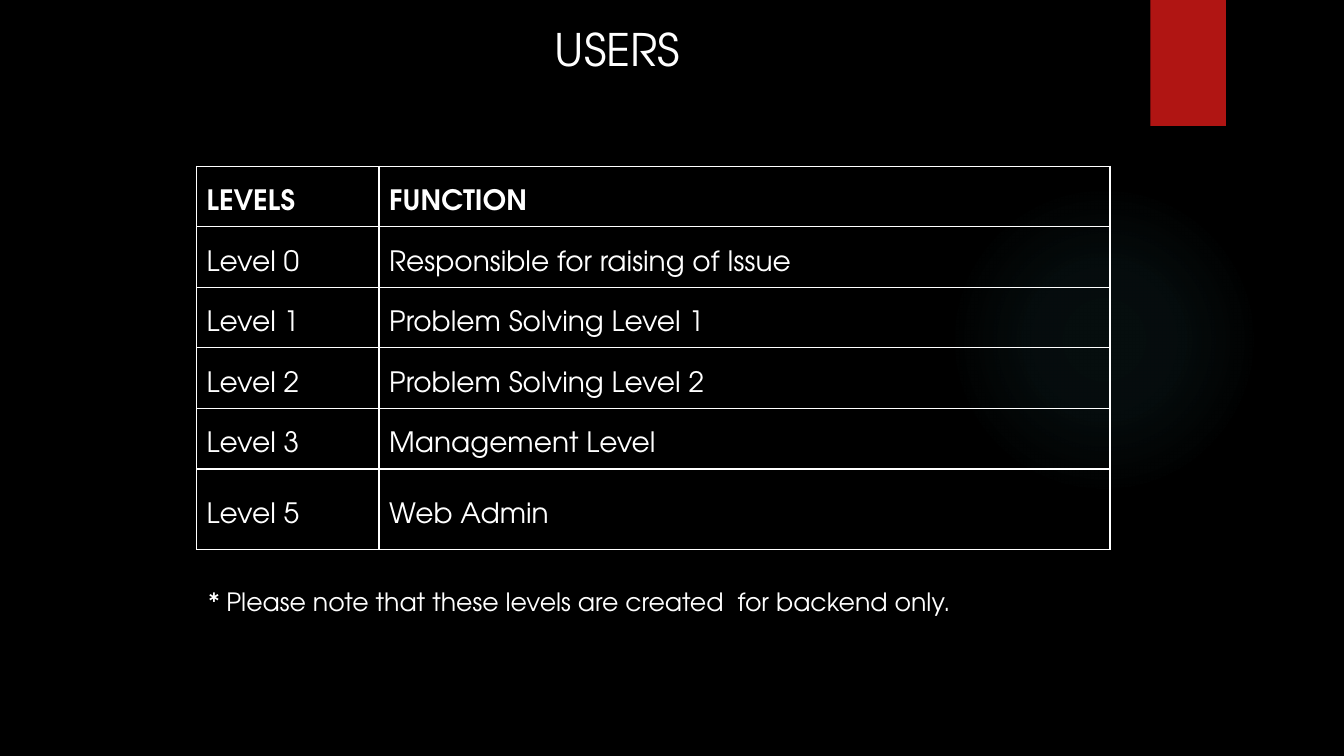
from lxml import etree
from pptx import Presentation
from pptx.dml.color import RGBColor
from pptx.enum.shapes import MSO_SHAPE
from pptx.enum.text import MSO_ANCHOR, MSO_AUTO_SIZE, PP_ALIGN
from pptx.oxml import parse_xml
from pptx.oxml.ns import nsdecls, qn
from pptx.util import Inches, Pt

OVAL, RECTANGLE = MSO_SHAPE.OVAL, MSO_SHAPE.RECTANGLE
MIDDLE = MSO_ANCHOR.MIDDLE
GROW = MSO_AUTO_SIZE.SHAPE_TO_FIT_TEXT
LEFT, CENTER = PP_ALIGN.LEFT, PP_ALIGN.CENTER

BLACK = RGBColor(0x00, 0x00, 0x00)
WHITE = RGBColor(0xFF, 0xFF, 0xFF)
RED = RGBColor(0xB0, 0x15, 0x13)
TEAL = RGBColor(0x50, 0xB9, 0xC1)
FONT = "TeX Gyre Adventor"

GLOW_STOPS = [(0, 7), (36, 6), (69, 0)]  # position and opacity, in percent
COLUMN_WIDTHS = [1.81, 7.25]
ROW_HEIGHTS = [0.6] * 5 + [0.8]
USER_LEVELS = [
    ("LEVELS", "FUNCTION"),
    ("Level 0", "Responsible for raising of Issue"),
    ("Level 1", "Problem Solving Level 1"),
    ("Level 2", "Problem Solving Level 2"),
    ("Level 3", "Management Level"),
    ("Level 5", "Web Admin"),
]


def write_text(frame, text, size, bold=False, align=LEFT, line_spacing=None):
    para = frame.paragraphs[0]
    para.alignment = align
    para.line_spacing = line_spacing
    span = para.add_run()
    span.text = text
    span.font.name = FONT
    span.font.size = Pt(size)
    span.font.bold = bold
    span.font.color.rgb = WHITE


def add_text(page, text, left, top, width, height, **text_format):
    box = page.shapes.add_textbox(Inches(left), Inches(top), Inches(width), Inches(height))
    box.text_frame.word_wrap = True
    box.text_frame.auto_size = GROW
    write_text(box.text_frame, text, **text_format)


def add_plain_shape(page, kind, left, top, width, height):
    shape = page.shapes.add_shape(kind, Inches(left), Inches(top), Inches(width), Inches(height))
    shape.shadow.inherit = False
    shape.line.fill.background()
    return shape


def add_glow(page, left, top, diameter):
    """Add a circle whose faint colour fades out from its centre."""
    glow = add_plain_shape(page, OVAL, left, top, diameter, diameter)
    stops = "".join(
        f'<a:gs pos="{position * 1000}"><a:srgbClr val="{TEAL}">'
        f'<a:alpha val="{opacity * 1000}"/></a:srgbClr></a:gs>'
        for position, opacity in GLOW_STOPS
    )
    gradient = parse_xml(
        f'<a:gradFill {nsdecls("a")}><a:gsLst>{stops}</a:gsLst><a:path path="circle">'
        '<a:fillToRect l="50000" t="50000" r="50000" b="50000"/></a:path></a:gradFill>'
    )
    glow.element.spPr.find(qn("a:prstGeom")).addnext(gradient)


def add_ribbon(page, left, top, width, height):
    ribbon = add_plain_shape(page, RECTANGLE, left, top, width, height)
    ribbon.fill.solid()
    ribbon.fill.fore_color.rgb = RED
    ribbon.element.spPr.find(qn("a:effectLst")).append(parse_xml(
        f'<a:outerShdw {nsdecls("a")} blurRad="{Pt(3)}" dist="{Pt(2)}" dir="5400000">'
        f'<a:srgbClr val="{BLACK}"><a:alpha val="45000"/></a:srgbClr></a:outerShdw>'
    ))


def set_borders(cell, color, width):
    properties = cell._tc.get_or_add_tcPr()
    for index, side in enumerate(("lnL", "lnR", "lnT", "lnB")):
        border = etree.Element(qn(f"a:{side}"), w=str(Pt(width)))
        fill = etree.SubElement(border, qn("a:solidFill"))
        etree.SubElement(fill, qn("a:srgbClr"), val=str(color))
        properties.insert(index, border)


def add_levels_table(page, left, top):
    table = page.shapes.add_table(
        len(USER_LEVELS), len(COLUMN_WIDTHS), Inches(left), Inches(top),
        Inches(sum(COLUMN_WIDTHS)), Inches(sum(ROW_HEIGHTS)),
    ).table
    table.first_row = table.horz_banding = False
    for column, width in zip(table.columns, COLUMN_WIDTHS):
        column.width = Inches(width)
    for row_index, texts in enumerate(USER_LEVELS):
        table.rows[row_index].height = Inches(ROW_HEIGHTS[row_index])
        for column_index, text in enumerate(texts):
            cell = table.cell(row_index, column_index)
            cell.vertical_anchor = MIDDLE
            cell.fill.background()
            set_borders(cell, WHITE, 1)
            write_text(cell.text_frame, text, size=20, bold=row_index == 0, line_spacing=1.5)


def main():
    deck = Presentation()
    deck.slide_width, deck.slide_height = Inches(13.33), Inches(7.5)
    page = deck.slides.add_slide(deck.slide_layouts[6])
    page.background.fill.solid()
    page.background.fill.fore_color.rgb = BLACK

    add_glow(page, 9.41, 1.83, 3.08)
    add_ribbon(page, 11.41, 0, 0.75, 1.25)
    add_text(page, "USERS", 0.85, 0.17, 10.55, 0.64, size=32, align=CENTER)
    add_levels_table(page, 1.95, 1.65)
    add_text(page, "* Please note that these levels are created  for backend only.",
             1.97, 5.77, 9, 0.4, size=18)
    deck.save("out.pptx")


if __name__ == "__main__":
    main()
